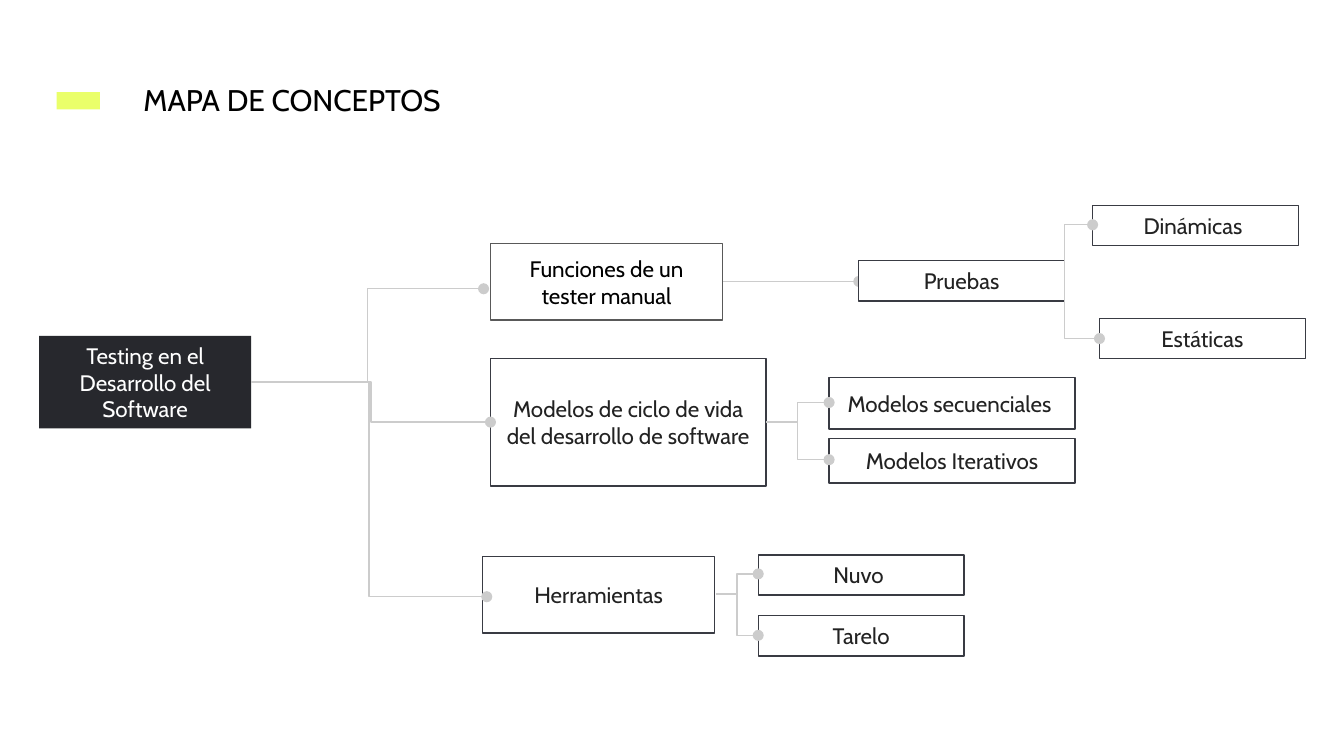
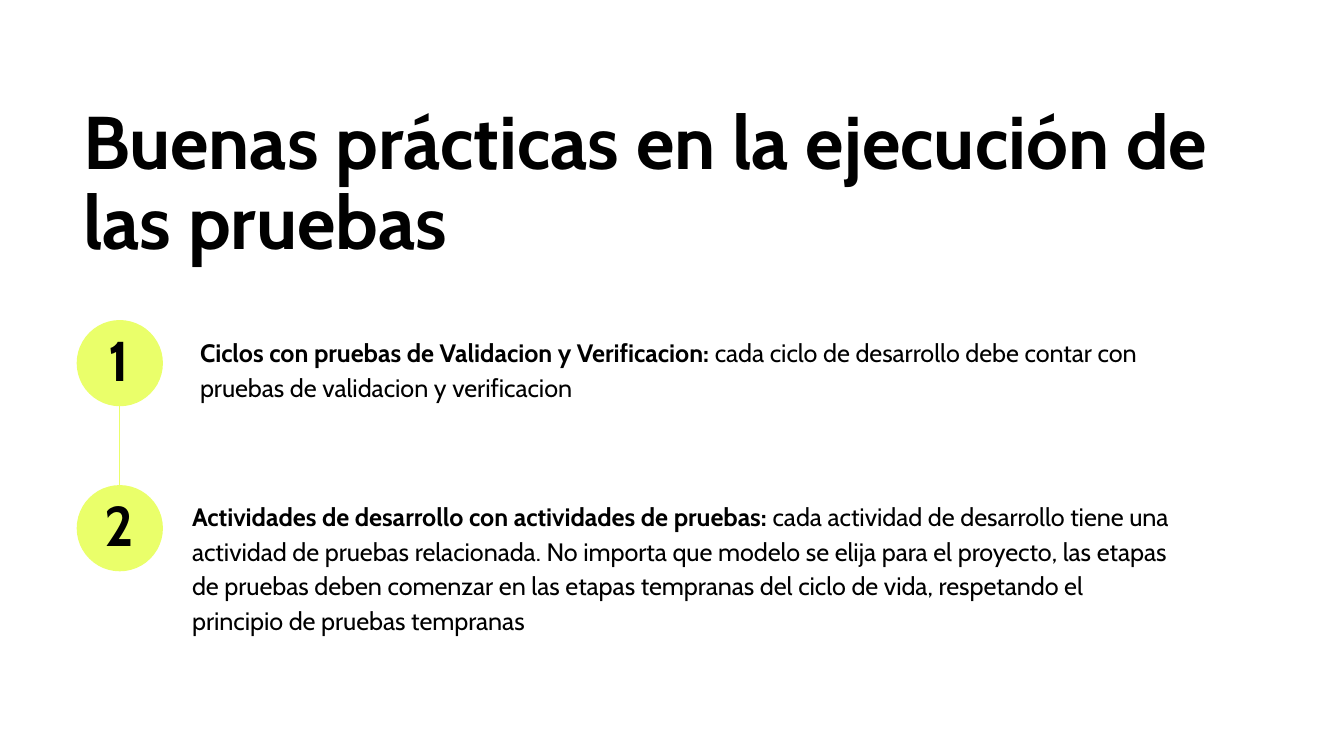
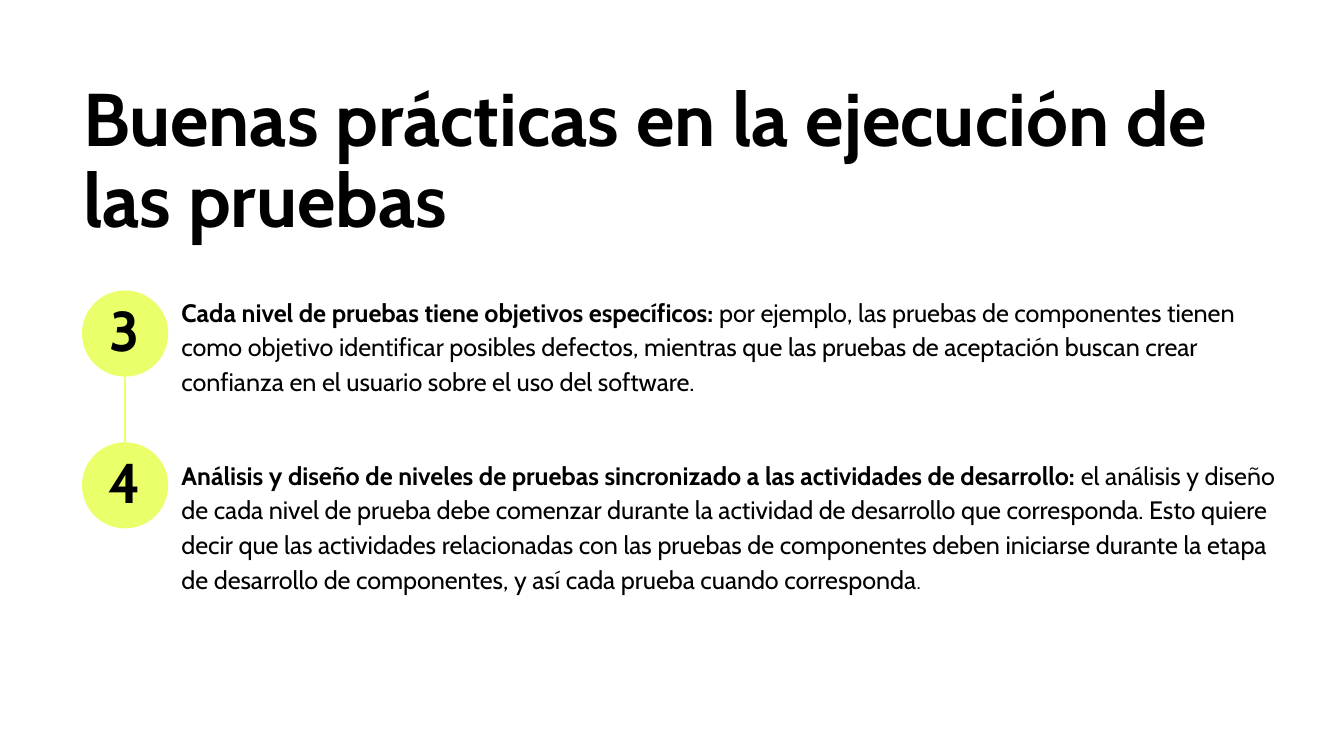
"""Build three slides on software testing: a concept map and four good practices."""
from lxml import etree
from pptx import Presentation
from pptx.dml.color import RGBColor
from pptx.enum import shapes, text
from pptx.oxml import ns
from pptx.util import Cm, Pt

FONT = "Cabin"
COLORS = {
    "lime": "EAFF6A", "dark": "27282D", "border": "393B43", "soft_border": "595959",
    "branch": "CCCCCC", "ink": "222222", "black": "000000", "white": "FFFFFF",
}
BODY_SIZE = 13.5


def write(shape, runs, color="black", align=text.PP_ALIGN.LEFT,
          anchor=text.MSO_ANCHOR.TOP, spacing=1.0):
    frame = shape.text_frame
    frame.word_wrap = True
    frame.auto_size = text.MSO_AUTO_SIZE.NONE
    frame.vertical_anchor = anchor
    frame.margin_left = frame.margin_right = Cm(0.25)
    frame.margin_top = frame.margin_bottom = Cm(0.25)
    paragraph = frame.paragraphs[0]
    if shape.is_placeholder:
        properties = paragraph._p.get_or_add_pPr()
        properties.set("marL", "0")
        properties.set("indent", "0")
        etree.SubElement(properties, ns.qn("a:buNone"))
    paragraph.alignment = align
    paragraph.line_spacing = spacing
    paragraph.space_before = Pt(0)
    for words, size, bold in runs:
        run = paragraph.add_run()
        run.text = words
        run.font.name = FONT
        run.font.size = Pt(size)
        run.font.bold = bold
        run.font.color.rgb = RGBColor.from_string(COLORS[color])


def add_line(slide, start, end, color, kind=shapes.MSO_CONNECTOR.STRAIGHT,
             dot=True, bend=None):
    line = slide.shapes.add_connector(kind, *[Cm(value) for value in start + end])
    line.line.color.rgb = RGBColor.from_string(COLORS[color])
    line.line.width = Pt(0.75)
    if dot:
        etree.SubElement(line.line._get_or_add_ln(), ns.qn("a:tailEnd"), type="oval")
    properties = line._element.spPr
    etree.SubElement(properties, ns.qn("a:effectLst"))
    if bend is not None:
        guides = properties.find(ns.qn("a:prstGeom")).get_or_add_avLst()
        etree.SubElement(guides, ns.qn("a:gd"), name="adj1", fmla=f"val {bend}")


presentation = Presentation()
presentation.slide_width = Cm(25.4)
presentation.slide_height = Cm(14.29)
title_layout = presentation.slide_layouts[5]
practice_layout = presentation.slide_layouts[3]

slide = presentation.slides.add_slide(title_layout)
title = slide.shapes.title
title.left, title.top, title.width, title.height = Cm(2.46), Cm(1.3), Cm(6.83), Cm(1.19)
write(title, [("MAPA DE CONCEPTOS", 16, False)])

accent = slide.shapes.add_shape(shapes.MSO_SHAPE.RECTANGLE, Cm(1.07), Cm(1.74), Cm(0.82), Cm(0.33))
accent.shadow.inherit = False
accent.fill.solid()
accent.fill.fore_color.rgb = RGBColor.from_string(COLORS["lime"])
accent.line.fill.background()

add_line(slide, (13.66, 5.32), (16.23, 5.32), "branch")

leaf = (3.89, 0.76)
topic = (4.39, 1.45)
concepts = [
    ("Modelos de ciclo de vida del desarrollo de software", (9.27, 6.78), (5.21, 2.41), None, "border", "ink"),
    ("Testing en el Desarrollo del Software", (0.74, 6.35), (4.01, 1.75), "dark", None, "white"),
    ("Funciones de un tester manual", (9.27, 4.6), topic, "white", "soft_border", "black"),
    ("Herramientas", (9.12, 10.52), topic, None, "border", "ink"),
    ("Pruebas", (16.23, 4.93), leaf, "white", "border", "ink"),
    ("Dinámicas ", (20.65, 3.88), leaf, "white", "border", "ink"),
    ("Estáticas", (20.78, 6.02), leaf, "white", "border", "ink"),
    ("Nuvo ", (14.33, 10.49), leaf, "white", "border", "ink"),
    ("Tarelo", (14.33, 11.64), leaf, "white", "border", "ink"),
    ("Modelos secuenciales ", (15.67, 7.14), (4.65, 0.97), "white", "border", "ink"),
    ("Modelos Iterativos", (15.67, 8.29), (4.65, 0.84), "white", "border", "ink"),
]
for words, position, size, fill, border, ink in concepts:
    box = slide.shapes.add_shape(
        shapes.MSO_SHAPE.RECTANGLE, *[Cm(value) for value in position + size])
    box.shadow.inherit = False
    if fill:
        box.fill.solid()
        box.fill.fore_color.rgb = RGBColor.from_string(COLORS[fill])
    else:
        box.fill.background()
    if border:
        box.line.color.rgb = RGBColor.from_string(COLORS[border])
        box.line.width = Pt(0.75)
    else:
        box.line.fill.background()
    write(box, [(words, 12, False)], ink, text.PP_ALIGN.CENTER, text.MSO_ANCHOR.MIDDLE)

branches = [
    ((4.75, 7.22), [(9.14, 5.46), (9.27, 7.98), (9.2, 11.28)], None),
    ((20.12, 5.21), [(20.65, 4.25), (20.78, 6.4)], 0),
    ((13.53, 11.23), [(14.33, 10.85), (14.33, 12.01)], None),
    ((14.48, 7.98), [(15.67, 7.61), (15.67, 8.69)], None),
]
for start, ends, bend in branches:
    for end in ends:
        add_line(slide, start, end, "branch", shapes.MSO_CONNECTOR.ELBOW, bend=bend)

practice_slides = [
    ((1.32, 1.73, 22.61, 3.58), 1.45, [
        ("1", 6.05, (3.53, 6.05, 18.24, 1.75), [
            ("Ciclos con pruebas de Validacion y Verificacion: ", BODY_SIZE, True),
            ("cada ciclo de desarrollo debe contar con pruebas de validacion y verificacion",
             BODY_SIZE, False)]),
        ("2", 9.17, (3.38, 9.14, 19.15, 3.07), [
            ("Actividades de desarrollo con actividades de pruebas:", BODY_SIZE, True),
            (" cada actividad de desarrollo tiene una actividad de pruebas relacionada. "
             "No importa que modelo se elija para el proyecto, las etapas de pruebas deben "
             "comenzar en las etapas tempranas del ciclo de vida, respetando el principio "
             "de pruebas tempranas", BODY_SIZE, False)]),
    ]),
    ((1.32, 1.3, 21.92, 3.58), 1.55, [
        ("3", 5.49, (3.18, 5.28, 21.13, 2.41), [
            ("Cada nivel de pruebas tiene objetivos específicos:", BODY_SIZE, True),
            (" por ejemplo, las pruebas de componentes tienen como objetivo identificar "
             "posibles defectos, mientras que las pruebas de aceptación buscan crear "
             "confianza en el usuario sobre el uso del software.", BODY_SIZE, False)]),
        ("4", 8.36, (3.18, 8.36, 21.56, 3.73), [
            ("Análisis y diseño de niveles de pruebas sincronizado a las actividades de "
             "desarrollo:", BODY_SIZE, True),
            (" el análisis y diseño de cada nivel de prueba debe comenzar durante la "
             "actividad de desarrollo que corresponda. Esto quiere decir que las actividades "
             "relacionadas con las pruebas de componentes deben iniciarse durante la etapa de "
             "desarrollo de componentes, y así cada prueba cuando corresponda", BODY_SIZE, False),
            (".", 11, False)]),
    ]),
]
diameter = 1.63
for title_box, circle_left, practices in practice_slides:
    slide = presentation.slides.add_slide(practice_layout)
    title = slide.shapes.title
    title.left, title.top, title.width, title.height = [Cm(value) for value in title_box]
    write(title, [("Buenas prácticas en la ejecución de las pruebas", 40, True)], spacing=0.9)

    for index, (number, top, body_box, runs) in enumerate(practices, start=1):
        circle = slide.shapes.add_shape(
            shapes.MSO_SHAPE.OVAL, Cm(circle_left), Cm(top), Cm(diameter), Cm(diameter))
        circle.shadow.inherit = False
        circle.fill.solid()
        circle.fill.fore_color.rgb = RGBColor.from_string(COLORS["lime"])
        circle.line.fill.background()

        label = slide.shapes.add_textbox(Cm(circle_left + 0.23), Cm(top), Cm(1.14), Cm(1.68))
        write(label, [(number, 30, True)], align=text.PP_ALIGN.CENTER, spacing=0.9)

        body = slide.placeholders[index]
        body.left, body.top, body.width, body.height = [Cm(value) for value in body_box]
        write(body, runs, spacing=1.15)

    center = circle_left + diameter / 2
    first_top, second_top = [practice[1] for practice in practices]
    add_line(slide, (center, first_top + diameter), (center, second_top), "lime", dot=False)

presentation.save("out.pptx")
